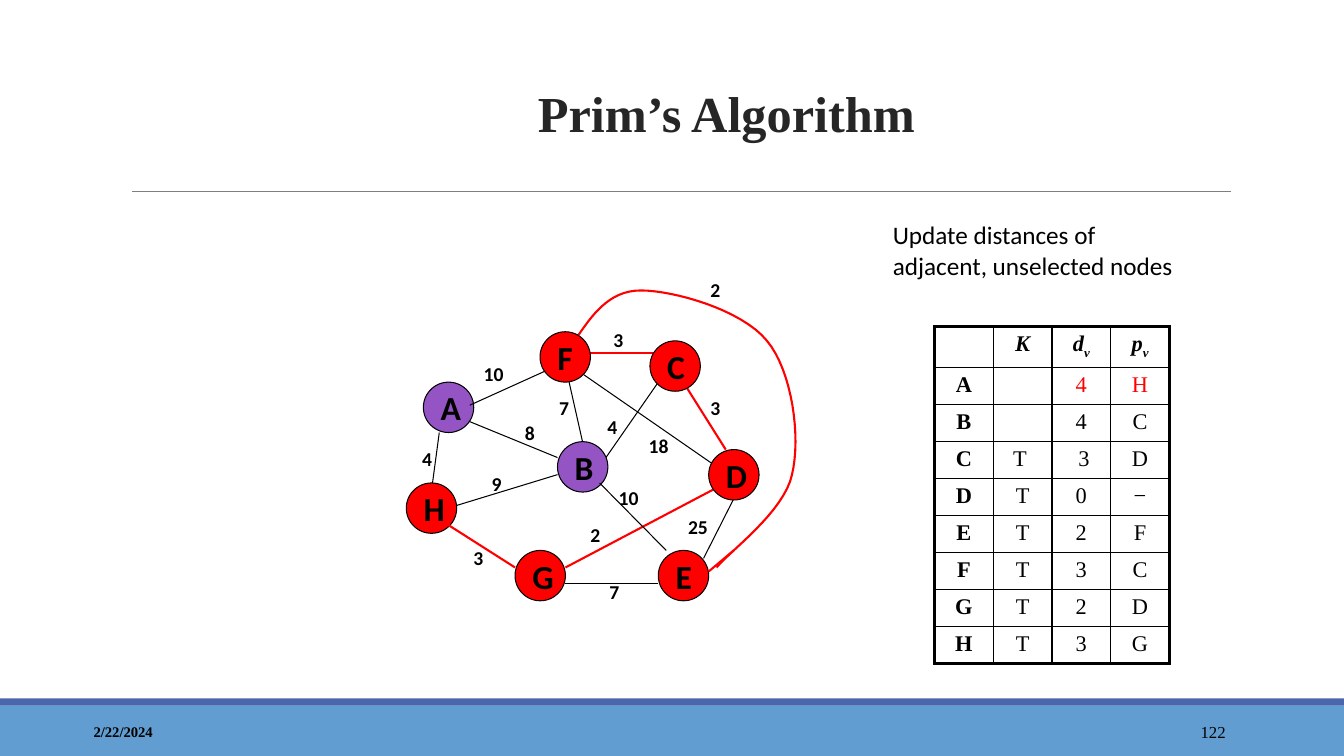
from dataclasses import dataclass

from lxml.etree import SubElement
from pptx import Presentation
from pptx.dml.color import RGBColor
from pptx.enum.shapes import MSO_CONNECTOR, MSO_SHAPE
from pptx.enum.text import MSO_ANCHOR, PP_ALIGN
from pptx.oxml.ns import qn
from pptx.util import Cm, Pt

Point = tuple[float, float]


@dataclass(frozen=True)
class Theme:
    serif: str = "Times New Roman"
    sans: str = "Calibri"
    black: str = "000000"
    title: str = "262626"
    rule: str = "7F7F7F"
    footer: str = "629DD1"
    stripe: str = "4A66AC"
    selected: str = "FF0000"
    unselected: str = "9454C3"
    title_size: float = 36
    node_size: float = 24
    caption_size: float = 18
    table_size: float = 16
    weight_size: float = 14
    number_size: float = 12
    date_size: float = 10.5
    thin: float = 0.75
    grid: float = 1
    thick: float = 1.5
    frame: float = 2.25


THEME = Theme()


@dataclass(frozen=True)
class Style:
    size: float
    font: str = THEME.sans
    color: str = THEME.black
    bold: bool = False
    italic: bool = False


@dataclass(frozen=True)
class Node:
    name: str
    left: float
    top: float
    selected: bool = True


@dataclass(frozen=True)
class Edge:
    start: Point
    end: Point
    weight: str
    label: Point
    in_tree: bool = False
    above_nodes: bool = False


NODE_DIAMETER = 1.27
NODES = [
    Node("A", 10.67, 9.63, selected=False), Node("H", 10.24, 12.17),
    Node("B", 14.05, 11.13, selected=False), Node("F", 13.61, 8.36),
    Node("E", 16.59, 13.87), Node("D", 17.86, 11.33),
    Node("C", 16.38, 8.59), Node("G", 12.98, 13.87),
]
EDGES = [
    Edge((18.8, 11.96), (17.73, 14.07), "25", (17.09, 12.85)),
    Edge((14.25, 9.22), (14.68, 11.13), "7", (13.84, 9.86)),
    Edge((15.11, 11.76), (16.59, 9.63), "4", (15.06, 10.34)),
    Edge((18.06, 11.76), (14.68, 9.42), "18", (16.1, 10.82)),
    Edge((11.3, 12.8), (14.05, 11.96), "9", (12.14, 11.76)),
    Edge((14.25, 14.3), (18.29, 12.17), "2", (14.63, 13.06), in_tree=True),
    Edge((10.87, 12.4), (11.07, 10.9), "4", (10.39, 11.13)),
    Edge((11.51, 10.49), (14.05, 11.53), "8", (12.98, 10.49)),
    Edge((14.81, 8.89), (16.79, 8.89), "3", (15.21, 8.15), in_tree=True),
    Edge((17.22, 9.63), (18.29, 11.33), "3", (17.65, 9.86), in_tree=True),
    Edge((15.11, 12.17), (16.79, 13.87), "10", (15.34, 12.12), above_nodes=True),
    Edge((16.59, 14.71), (14.25, 14.71), "7", (15.11, 14.5), above_nodes=True),
    Edge((12.98, 14.3), (11.3, 13.23), "3", (11.68, 13.64), in_tree=True, above_nodes=True),
    Edge((11.84, 10.21), (13.74, 9.35), "10", (11.94, 8.99), above_nodes=True),
    Edge((18.49, 13.87), (17.86, 14.4), "2", (17.65, 6.88), in_tree=True, above_nodes=True),
]

# Outer F-E edge: start point, then two controls and an end per segment
ARC_START = (14.48, 8.59)
ARC_SEGMENTS = [
    ((14.91, 7.95), (15.34, 7.32), (16.15, 7.32)),
    ((16.97, 7.32), (18.69, 7.8), (19.33, 8.59)),
    ((19.96, 9.35), (20.19, 11.0), (19.96, 11.96)),
    ((19.76, 12.9), (18.39, 13.89), (18.06, 14.3)),
]

# A header of two letters carries its second letter as a subscript
HEADERS = ["", "K", "dv", "pv"]
ROWS = [
    ("A", "", "4", "H"), ("B", "", "4", "C"), ("C", "T ", " 3", "D"),
    ("D", "T", "0", "−"), ("E", "T", "2", "F"), ("F", "T", "3", "C"),
    ("G", "T", "2", "D"), ("H", "T", "3", "G"),
]
UPDATED_ROW = 1


def rgb(color: str) -> RGBColor:
    return RGBColor.from_string(color)


def style_run(run, style: Style) -> None:
    font = run.font
    font.name, font.size = style.font, Pt(style.size)
    font.bold, font.italic = style.bold, style.italic
    font.color.rgb = rgb(style.color)


def set_text(text_frame, text: str, style: Style, align=PP_ALIGN.LEFT, anchor=MSO_ANCHOR.TOP) -> None:
    text_frame.text = text
    text_frame.word_wrap = True
    text_frame.vertical_anchor = anchor
    paragraph = text_frame.paragraphs[0]
    paragraph.alignment = align
    style_run(paragraph.runs[0], style)


def add_text(slide, box: tuple[float, float, float, float], text: str, style: Style, **layout):
    shape = slide.shapes.add_textbox(*map(Cm, box))
    set_text(shape.text_frame, text, style, **layout)
    return shape


def add_band(slide, top: float, height: float, color: str) -> None:
    shape = slide.shapes.add_shape(MSO_SHAPE.RECTANGLE, 0, Cm(top), Cm(33.87), Cm(height))
    shape.shadow.inherit = False
    shape.fill.solid()
    shape.fill.fore_color.rgb = rgb(color)
    shape.line.fill.background()


def add_line(slide, start: Point, end: Point, color: str, width: float) -> None:
    connector = slide.shapes.add_connector(MSO_CONNECTOR.STRAIGHT, *map(Cm, start + end))
    connector.line.color.rgb = rgb(color)
    connector.line.width = Pt(width)
    SubElement(connector._element.spPr, qn("a:effectLst"))


def add_edges(slide, above_nodes: bool) -> None:
    for edge in EDGES:
        if edge.above_nodes == above_nodes:
            color, width = (THEME.selected, THEME.thick) if edge.in_tree else (THEME.black, THEME.thin)
            add_line(slide, edge.start, edge.end, color, width)


def add_node(slide, node: Node) -> None:
    shape = slide.shapes.add_shape(
        MSO_SHAPE.OVAL, Cm(node.left), Cm(node.top), Cm(NODE_DIAMETER), Cm(NODE_DIAMETER))
    shape.shadow.inherit = False
    shape.fill.solid()
    shape.fill.fore_color.rgb = rgb(THEME.selected if node.selected else THEME.unselected)
    shape.line.color.rgb = rgb(THEME.black)
    shape.line.width = Pt(THEME.thin)
    set_text(shape.text_frame, node.name, Style(THEME.node_size, bold=True), anchor=MSO_ANCHOR.MIDDLE)


def add_arc(slide, steps: int = 16) -> None:
    points, start = [], ARC_START
    for first, second, end in ARC_SEGMENTS:
        for step in range(1, steps + 1):
            t = step / steps
            weights = ((1 - t) ** 3, 3 * t * (1 - t) ** 2, 3 * t * t * (1 - t), t ** 3)
            corners = (start, first, second, end)
            points.append(tuple(
                Cm(sum(w * corner[axis] for w, corner in zip(weights, corners))) for axis in (0, 1)))
        start = end
    builder = slide.shapes.build_freeform(*map(Cm, ARC_START))
    builder.add_line_segments(points, close=False)
    shape = builder.convert_to_shape()
    shape.shadow.inherit = False
    shape.fill.background()
    shape.line.color.rgb = rgb(THEME.selected)
    shape.line.width = Pt(THEME.thick)


def set_borders(cell, outer_sides: dict[str, bool]) -> None:
    for side, outer in outer_sides.items():
        width = Pt(THEME.frame if outer else THEME.grid)
        border = SubElement(cell._tc.get_or_add_tcPr(), qn(f"a:ln{side}"), w=str(width))
        SubElement(SubElement(border, qn("a:solidFill")), qn("a:srgbClr"), val=THEME.black)


def fill_cell(cell, text: str, row: int, column: int) -> None:
    paragraph = cell.text_frame.paragraphs[0]
    paragraph.alignment = PP_ALIGN.CENTER
    header = row == 0
    color = THEME.selected if row == UPDATED_ROW and column > 1 else THEME.black
    style = Style(THEME.table_size, THEME.serif, color, bold=header or column == 0, italic=header)
    for position, part in enumerate(text if header else [text] if text else []):
        run = paragraph.add_run()
        run.text = part
        style_run(run, style)
        if position:
            run._r.get_or_add_rPr().set("baseline", "-25000")
    if not text:
        SubElement(paragraph._p, qn("a:endParaRPr"), sz=str(int(THEME.table_size * 100)))


def add_distance_table(slide) -> None:
    contents = [HEADERS, *ROWS]
    last_row, last_column = len(contents) - 1, len(HEADERS) - 1
    width, height = Cm(1.48), Cm(0.93)
    table = slide.shapes.add_table(
        len(contents), len(HEADERS), Cm(23.55), Cm(8.23), width * len(HEADERS), height * len(contents)).table
    table.first_row = table.horz_banding = False
    for column in table.columns:
        column.width = width
    for row, texts in enumerate(contents):
        table.rows[row].height = height
        for column, text in enumerate(texts):
            cell = table.cell(row, column)
            set_borders(cell, {"L": column == 0, "R": column == last_column, "T": row == 0, "B": row == last_row})
            cell.fill.background()
            fill_cell(cell, text, row, column)


def main() -> None:
    presentation = Presentation()
    presentation.slide_width, presentation.slide_height = Cm(33.87), Cm(19.05)
    slide = presentation.slides.add_slide(presentation.slide_layouts[6])

    # Footer and title
    add_band(slide, 17.78, 1.27, THEME.footer)
    add_band(slide, 17.6, 0.18, THEME.stripe)
    add_line(slide, (3.33, 4.83), (31.01, 4.83), THEME.rule, THEME.thin)
    add_text(slide, (2.11, 17.93, 7.62, 1.02), "2/22/2024",
             Style(THEME.date_size, THEME.serif, bold=True), anchor=MSO_ANCHOR.MIDDLE)
    add_text(slide, (27.51, 17.93, 3.63, 1.02), "122", Style(THEME.number_size, THEME.serif),
             align=PP_ALIGN.RIGHT, anchor=MSO_ANCHOR.MIDDLE)
    title = add_text(slide, (4.34, 1.04, 27.94, 2.69), "Prim’s Algorithm",
                     Style(THEME.title_size, THEME.serif, THEME.title, bold=True),
                     align=PP_ALIGN.CENTER, anchor=MSO_ANCHOR.BOTTOM)
    title.text_frame.paragraphs[0].line_spacing = 1.1

    # Distance table with its caption
    add_distance_table(slide)
    add_text(slide, (22.25, 5.41, 8.05, 1.96), "Update distances of adjacent, unselected nodes",
             Style(THEME.caption_size))

    # Weighted graph
    add_arc(slide)
    add_edges(slide, above_nodes=False)
    for node in NODES:
        add_node(slide, node)
    add_edges(slide, above_nodes=True)
    for edge in EDGES:
        width = 0.84 if len(edge.weight) == 1 else 1.32
        add_text(slide, (*edge.label, width, 0.84), edge.weight, Style(THEME.weight_size, bold=True))

    presentation.save("out.pptx")


if __name__ == "__main__":
    main()
